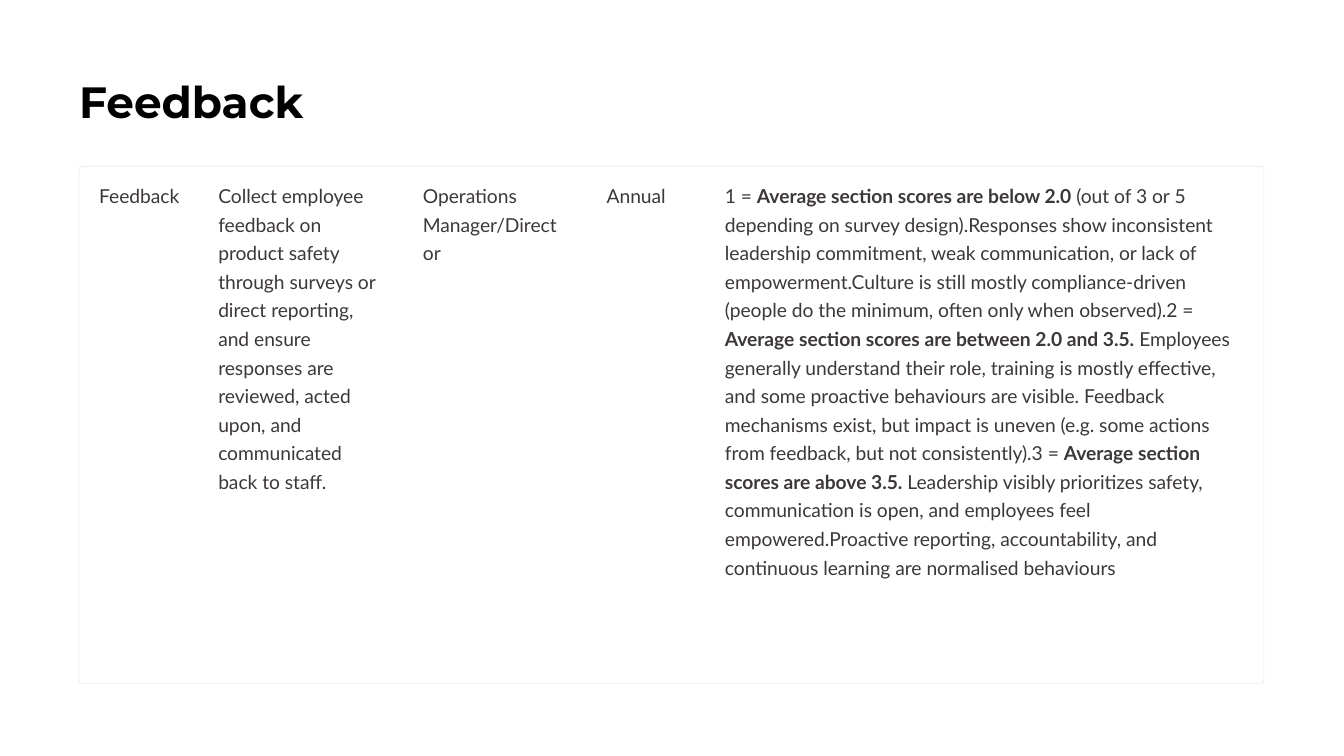
from dataclasses import dataclass

from lxml import etree
from pptx import Presentation
from pptx import util as u
from pptx.dml.color import RGBColor
from pptx.enum import shapes, text
from pptx.oxml import ns

COLOURS = {"paper": "FFFFFF", "title": "000000", "border": "000000", "body": "3D3838"}

deck = Presentation()
deck.slide_width, deck.slide_height = u.Inches(16), u.Inches(9)
slide = deck.slides.add_slide(deck.slide_layouts[6])


@dataclass(frozen=True)
class Box:
    """Left, top, width and height in percent of the slide."""
    left: float
    top: float
    width: float
    height: float

    def emu(self) -> list[int]:
        across, down = deck.slide_width / 100, deck.slide_height / 100
        return [round(self.left * across), round(self.top * down),
                round(self.width * across), round(self.height * down)]


@dataclass(frozen=True)
class Style:
    font: str
    size: float
    leading: float
    colour: str
    bold: bool = False


@dataclass(frozen=True)
class Column:
    """A cell of the feedback row; every second phrase of its wording is bold."""
    width: float
    height: float
    wording: tuple[str, ...]
    wrap: bool = True


TITLE = Style("Montserrat", 37.5, 46.5, "title", True)
BODY = Style("Lato", 16.5, 24.5, "body")
CARD = Box(5.88, 22, 88.16, 68.4)
ROW_LEFT, ROW_TOP, GUTTER = 7.38, 23.67, 2.92

COLUMNS = [
    Column(5.94, 3.8, ("Feedback",), wrap=False),
    Column(12.31, 42.1, (
        "Collect employee feedback on product safety through surveys or direct reporting, "
        "and ensure responses are reviewed, acted upon, and communicated back to staff.",)),
    Column(10.75, 7.7, ("Operations Manager/Director",)),
    Column(5.88, 3.8, ("Annual",), wrap=False),
    Column(38.69, 65, (
        "1 = ",
        "Average section scores are below 2.0",
        " (out of 3 or 5 depending on survey design).Responses show inconsistent leadership "
        "commitment, weak communication, or lack of empowerment.Culture is still mostly "
        "compliance-driven (people do the minimum, often only when observed).2 = ",
        "Average section scores are between 2.0 and 3.5.",
        " Employees generally understand their role, training is mostly effective, and some "
        "proactive behaviours are visible. Feedback mechanisms exist, but impact is uneven "
        "(e.g. some actions from feedback, but not consistently).3 = ",
        "Average section scores are above 3.5.",
        " Leadership visibly prioritizes safety, communication is open, and employees feel "
        "empowered.Proactive reporting, accountability, and continuous learning are "
        "normalised behaviours")),
]


def rgb(name: str) -> RGBColor:
    return RGBColor.from_string(COLOURS[name])


def set_opacity(panel, percent: int) -> None:
    colour = panel.element.find(".//" + ns.qn("a:srgbClr"))
    etree.SubElement(colour, ns.qn("a:alpha"), val=str(percent * 1000))


def add_panel(kind: shapes.MSO_SHAPE, box: Box):
    panel = slide.shapes.add_shape(kind, *box.emu())
    panel.shadow.inherit = False
    return panel


def add_wording(box: Box, wording: tuple[str, ...], style: Style, wrap: bool) -> None:
    frame = slide.shapes.add_textbox(*box.emu()).text_frame
    frame.word_wrap = wrap
    frame.auto_size = text.MSO_AUTO_SIZE.NONE
    frame.margin_left = frame.margin_top = frame.margin_right = frame.margin_bottom = 0
    paragraph = frame.paragraphs[0]
    paragraph.line_spacing = u.Pt(style.leading)
    font = paragraph.font
    font.name, font.size, font.bold = style.font, u.Pt(style.size), style.bold
    font.color.rgb = rgb(style.colour)
    for index, phrase in enumerate(wording):
        run = paragraph.add_run()
        run.text = phrase
        if index % 2:
            run.font.bold = True


# Background and title
slide.background.fill.solid()
slide.background.fill.fore_color.rgb = rgb("paper")
add_wording(Box(5.88, 9.67, 32.56, 7.2), ("Feedback",), TITLE, wrap=False)

# Card: faint rounded border and a sheer white row
border = add_panel(shapes.MSO_SHAPE.ROUNDED_RECTANGLE, CARD)
border.adjustments[0] = 0.006
border.fill.background()
border.line.width = u.Pt(0.6)
border.line.color.rgb = rgb("border")
set_opacity(border, 8)

row = add_panel(shapes.MSO_SHAPE.RECTANGLE,
                Box(CARD.left + 0.06, CARD.top + 0.08, CARD.width - 0.12, CARD.height - 0.16))
row.fill.solid()
row.fill.fore_color.rgb = rgb("paper")
row.line.fill.background()
set_opacity(row, 4)

# Feedback row, column by column
left = ROW_LEFT
for column in COLUMNS:
    add_wording(Box(left, ROW_TOP, column.width, column.height), column.wording, BODY, column.wrap)
    left += column.width + GUTTER

deck.save("out.pptx")
